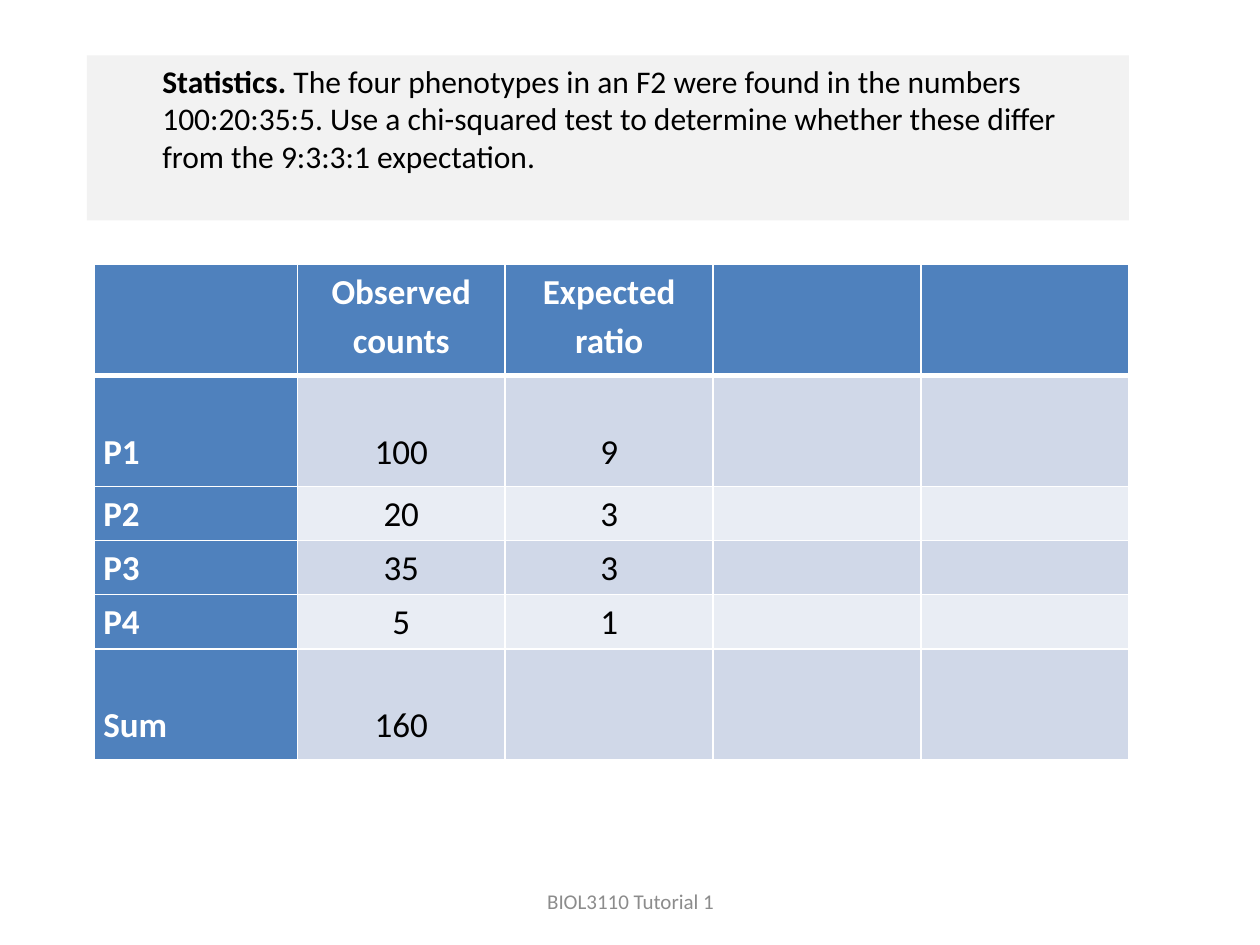
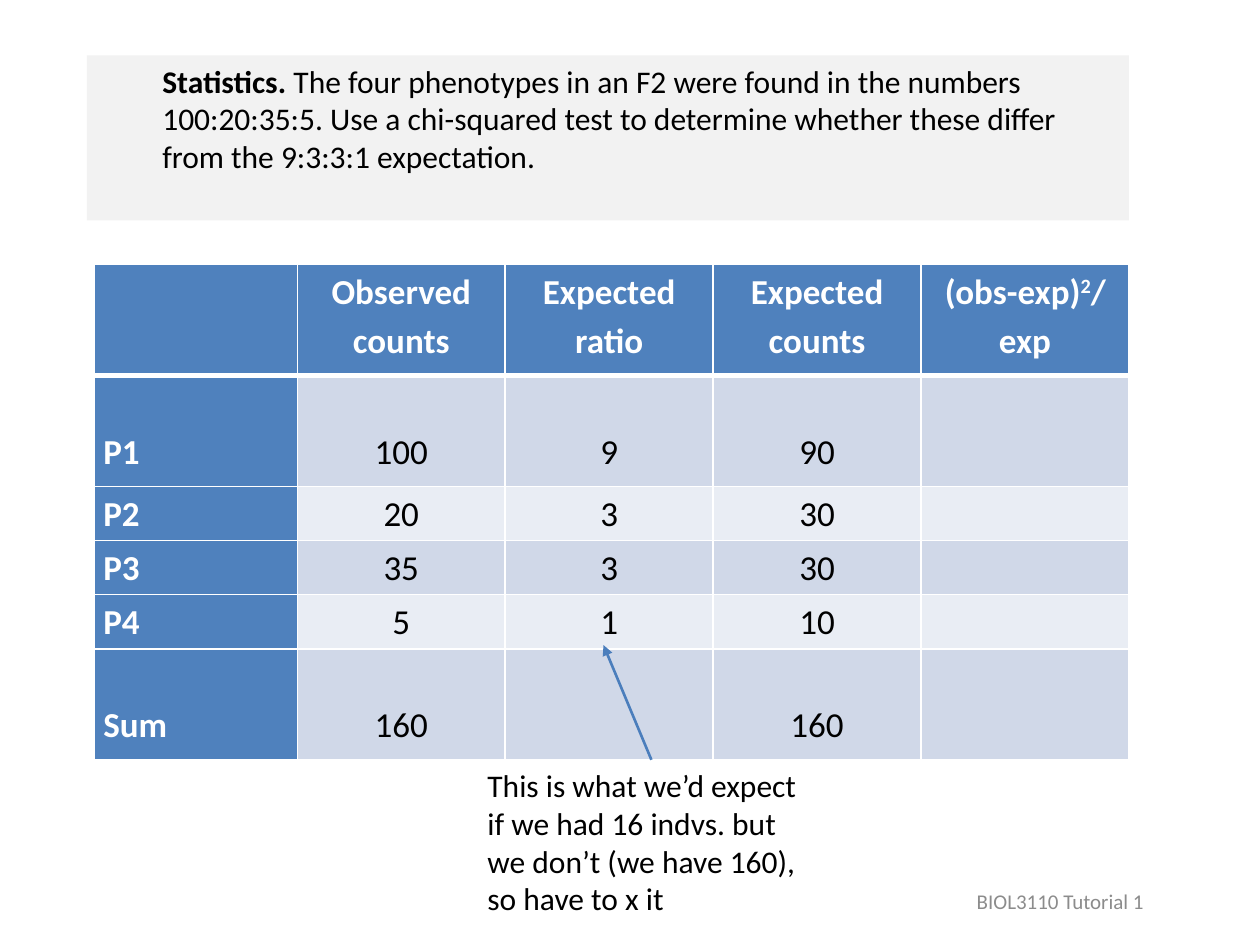
from lxml import etree
from pptx import Presentation
from pptx import util as u
from pptx.dml.color import RGBColor
from pptx.enum import shapes, text
from pptx.oxml import ns

COLORS = {
    "black": "000000", "white": "FFFFFF", "panel": "F2F2F2",
    "header": "4F81BD", "odd": "D0D8E8", "even": "E9EDF4",
    "arrow": "4B7EBC", "footer": "8C8C8C",
}
FONT = "Calibri"
FOOTER = "BIOL3110 Tutorial 1"
QUESTION = [
    ("Statistics. ", True),
    ("The four phenotypes in an F2 were found in the numbers 100:20:35:5. Use a "
     "chi-squared test to determine whether these differ from the 9:3:3:1 expectation.", False),
]
NOTE = "This is what we’d expect if we had 16 indvs. but we don’t (we have 160), so have to x it"

# Table data: the second slide fills in two more columns
ROW_LABELS = ["", "P1", "P2", "P3", "P4", "Sum"]
OBSERVED = ["Observed counts", "100", "20", "35", "5", "160"]
RATIO = ["Expected ratio", "9", "3", "3", "1", ""]
EXPECTED = ["Expected counts", "90", "30", "30", "10", "160"]
DEVIATION = ["(obs-exp)^2^/exp", "", "", "", "", ""]
BLANK = [""] * len(ROW_LABELS)
TALL_ROWS = {0, 1, 5}
COLUMN_WIDTHS = [1.61] + [1.65] * 4


def color(name):
    return RGBColor.from_string(COLORS[name])


def box(*lengths):
    return [u.Inches(length) for length in lengths]


class Deck:
    def __init__(self):
        self.presentation = Presentation()
        self.presentation.slide_width, self.presentation.slide_height = box(10, 7.5)
        self.slide = None

    def add_slide(self):
        self.slide = self.presentation.slides.add_slide(self.presentation.slide_layouts[6])

    def style(self, run, size, color_name, bold=False):
        run.font.name = FONT
        run.font.size = u.Pt(size)
        run.font.bold = bold
        run.font.color.rgb = color(color_name)

    def question(self):
        shape = self.slide.shapes.add_shape(
            shapes.MSO_SHAPE.RECTANGLE, *box(0.69, 0.44, 8.27, 1.31))
        shape.shadow.inherit = False
        shape.fill.solid()
        shape.fill.fore_color.rgb = color("panel")
        shape.line.fill.background()
        frame = shape.text_frame
        frame.word_wrap = True
        frame.vertical_anchor = text.MSO_ANCHOR.TOP
        paragraph = frame.paragraphs[0]
        paragraph.alignment = text.PP_ALIGN.LEFT
        properties = paragraph._p.get_or_add_pPr()
        properties.set("marL", str(u.Inches(0.5)))
        properties.set("indent", "0")
        for words, bold in QUESTION:
            run = paragraph.add_run()
            run.text = words
            self.style(run, 18, "black", bold)

    def text_box(self, words, place, size, color_name, centered=False):
        frame = self.slide.shapes.add_textbox(*box(*place)).text_frame
        frame.word_wrap = True
        frame.text = words
        paragraph = frame.paragraphs[0]
        if centered:
            paragraph.alignment = text.PP_ALIGN.CENTER
            frame.vertical_anchor = text.MSO_ANCHOR.MIDDLE
        self.style(paragraph.runs[0], size, color_name)

    def footer(self, left):
        self.text_box(FOOTER, (left, 6.95, 3.17, 0.4), 12, "footer", centered=True)

    def table(self, columns):
        columns = [ROW_LABELS] + columns
        table = self.slide.shapes.add_table(
            len(ROW_LABELS), len(columns), *box(0.75, 2.1, 8.21, 3.93)).table
        table.horz_banding = False
        for column, width in zip(table.columns, COLUMN_WIDTHS):
            column.width = u.Inches(width)
        for row_index, row in enumerate(table.rows):
            row.height = u.Inches(0.88 if row_index in TALL_ROWS else 0.43)
            for column_index, cell in enumerate(row.cells):
                self.cell(cell, row_index, column_index, columns[column_index][row_index])

    def cell(self, cell, row, column, words):
        heading = row == 0 or column == 0
        # White rules, heavier under the header row
        properties = cell._tc.get_or_add_tcPr()
        for side in "LRTB":
            heavy = (row, side) in {(0, "B"), (1, "T")}
            line = etree.SubElement(properties, ns.qn("a:ln" + side),
                                    w=str(u.Pt(3 if heavy else 1)))
            fill = etree.SubElement(line, ns.qn("a:solidFill"))
            etree.SubElement(fill, ns.qn("a:srgbClr"), val=COLORS["white"])
        cell.fill.solid()
        cell.fill.fore_color.rgb = color("header" if heading else "odd" if row % 2 else "even")
        # Values sit low in the tall body rows
        cell.margin_left = cell.margin_right = u.Inches(0.07)
        cell.margin_top = cell.margin_bottom = 0
        if row and row in TALL_ROWS:
            cell.vertical_anchor = text.MSO_ANCHOR.BOTTOM
            cell.margin_bottom = u.Inches(0.1)
        if not words:
            return
        paragraph = cell.text_frame.paragraphs[0]
        paragraph.line_spacing = 1.15
        paragraph.alignment = text.PP_ALIGN.CENTER if column else text.PP_ALIGN.LEFT
        # Words between carets are superscript
        for index, part in enumerate(words.split("^")):
            run = paragraph.add_run()
            run.text = part
            self.style(run, 20, "white" if heading else "black", heading)
            if index % 2:
                run._r.get_or_add_rPr().set("baseline", "30000")

    def arrow(self, *ends):
        connector = self.slide.shapes.add_connector(shapes.MSO_CONNECTOR.STRAIGHT, *box(*ends))
        connector.line.color.rgb = color("arrow")
        connector.line.width = u.Pt(1.5)
        etree.SubElement(connector.line._get_or_add_ln(), ns.qn("a:tailEnd"), type="triangle")
        etree.SubElement(connector._element.spPr, ns.qn("a:effectLst"))


def main():
    deck = Deck()

    # Slide 1: observed counts and expected ratio
    deck.add_slide()
    deck.question()
    deck.table([OBSERVED, RATIO, BLANK, BLANK])
    deck.footer(3.42)

    # Slide 2: expected counts with a note on scaling
    deck.add_slide()
    deck.question()
    deck.table([OBSERVED, RATIO, EXPECTED, DEVIATION])
    deck.text_box(NOTE, (3.77, 6.03, 2.8, 1.31), 18, "black")
    deck.arrow(5.17, 6.03, 4.79, 5.12)
    deck.footer(6.83)

    deck.presentation.save("out.pptx")


if __name__ == "__main__":
    main()
